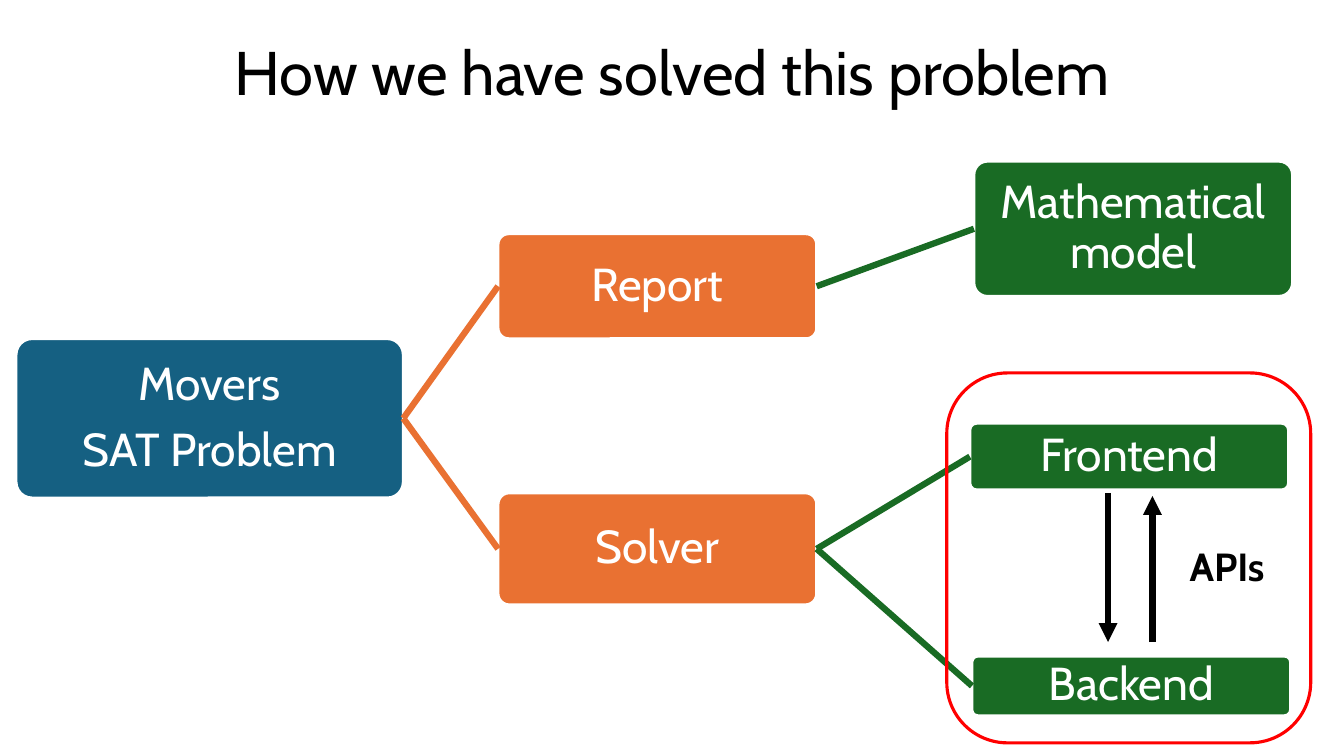
from lxml import etree
from pptx import Presentation
from pptx.dml.color import RGBColor
from pptx.enum.shapes import MSO_CONNECTOR, MSO_SHAPE
from pptx.enum.text import MSO_ANCHOR, MSO_AUTO_SIZE, PP_ALIGN
from pptx.oxml.ns import qn
from pptx.util import Inches, Pt

FONT = "Cabin"
BLACK, WHITE, RED = "000000", "FFFFFF", "FF0000"
BLUE, ORANGE, GREEN = "156082", "E97132", "196B24"
LEFT_SITE, RIGHT_SITE = 1, 3

# name: (left, top, width, height, fill, lines of text)
BOXES = {
    "problem": (0.16, 3.36, 3.84, 1.58, BLUE, ["Movers", "SAT Problem"]),
    "report": (4.94, 2.32, 3.16, 1.04, ORANGE, ["Report"]),
    "solver": (4.94, 4.89, 3.16, 1.11, ORANGE, ["Solver"]),
    "model": (9.66, 1.6, 3.16, 1.34, GREEN, ["Mathematical model"]),
    "frontend": (9.62, 4.2, 3.16, 0.66, GREEN, ["Frontend"]),
    "backend": (9.64, 6.51, 3.16, 0.59, GREEN, ["Backend"]),
}
BRANCHES = [
    ("problem", "report", ORANGE),
    ("problem", "solver", ORANGE),
    ("report", "model", GREEN),
    ("solver", "frontend", GREEN),
    ("solver", "backend", GREEN),
]


def rgb(color):
    return RGBColor.from_string(color)


def write(tf, lines, size, color, gap=0, bold=False, **paragraph_format):
    """Fill a text frame, with gap points between its paragraphs."""
    for i, line in enumerate(lines):
        p = tf.paragraphs[0] if i == 0 else tf.add_paragraph()
        for name, value in paragraph_format.items():
            setattr(p, name, value)
        if i:
            p.space_before = Pt(gap)
        r = p.add_run()
        r.text = line
        for name, value in {"name": FONT, "size": Pt(size), "bold": bold}.items():
            setattr(r.font, name, value)
        r.font.color.rgb = rgb(color)


def add_title(s, text):
    sp = s.shapes.title
    place = {"left": 0.92, "top": 0.28, "width": 11.5, "height": 0.93}
    for name, value in place.items():
        setattr(sp, name, Inches(value))
    tf = sp.text_frame
    tf.auto_size = MSO_AUTO_SIZE.NONE
    tf.vertical_anchor = MSO_ANCHOR.MIDDLE
    write(tf, [text], 44, BLACK, alignment=PP_ALIGN.CENTER, line_spacing=0.9)


def add_round_rect(s, left, top, width, height, line, line_width, fill=None):
    sp = s.shapes.add_shape(MSO_SHAPE.ROUNDED_RECTANGLE, Inches(left), Inches(top),
                            Inches(width), Inches(height))
    sp.shadow.inherit = False
    sp.line.color.rgb = rgb(line)
    sp.line.width = Pt(line_width)
    if fill:
        sp.fill.solid()
        sp.fill.fore_color.rgb = rgb(fill)
    else:
        sp.fill.background()
    return sp


def add_box(s, left, top, width, height, fill, lines):
    sp = add_round_rect(s, left, top, width, height, WHITE, 2, fill)
    sp.adjustments[0] = 0.1
    tf = sp.text_frame
    tf.word_wrap = True
    tf.vertical_anchor = MSO_ANCHOR.MIDDLE
    for side in ("left", "top", "right", "bottom"):
        setattr(tf, f"margin_{side}", Inches(0.02))
    write(tf, lines, 33, WHITE, gap=11.5, alignment=PP_ALIGN.CENTER, line_spacing=0.9)
    return sp


def add_line(s, color, x1=0, y1=0, x2=0, y2=0):
    line = s.shapes.add_connector(MSO_CONNECTOR.STRAIGHT, Inches(x1), Inches(y1),
                                  Inches(x2), Inches(y2))
    line.line.color.rgb = rgb(color)
    line.line.width = Pt(4.5)
    etree.SubElement(line._element.spPr, qn("a:effectLst"))
    return line


def add_arrow(s, x, y1, y2):
    line = add_line(s, BLACK, x, y1, x, y2)
    etree.SubElement(line.line._get_or_add_ln(), qn("a:tailEnd"), type="triangle")


def add_branch(s, parent, child, color):
    line = add_line(s, color)
    line.begin_connect(parent, RIGHT_SITE)
    line.end_connect(child, LEFT_SITE)


def add_label(s, text, left, top, width, height):
    sp = s.shapes.add_textbox(Inches(left), Inches(top), Inches(width), Inches(height))
    tf = sp.text_frame
    tf.word_wrap = False
    tf.auto_size = MSO_AUTO_SIZE.SHAPE_TO_FIT_TEXT
    write(tf, [text], 28, BLACK, bold=True)


def main():
    prs = Presentation()
    prs.slide_width, prs.slide_height = Inches(13.33), Inches(7.5)
    s = prs.slides.add_slide(prs.slide_layouts[5])

    add_title(s, "How we have solved this problem")
    add_arrow(s, 10.99, 4.89, 6.37)
    add_arrow(s, 11.43, 6.37, 4.92)
    add_label(s, "APIs", 11.7, 5.33, 1, 0.57)

    boxes = {name: add_box(s, *values) for name, values in BOXES.items()}
    for parent, child, color in BRANCHES:
        add_branch(s, boxes[parent], boxes[child], color)
    add_round_rect(s, 9.39, 3.7, 3.61, 3.67, RED, 2.25)

    prs.save("out.pptx")


if __name__ == "__main__":
    main()
